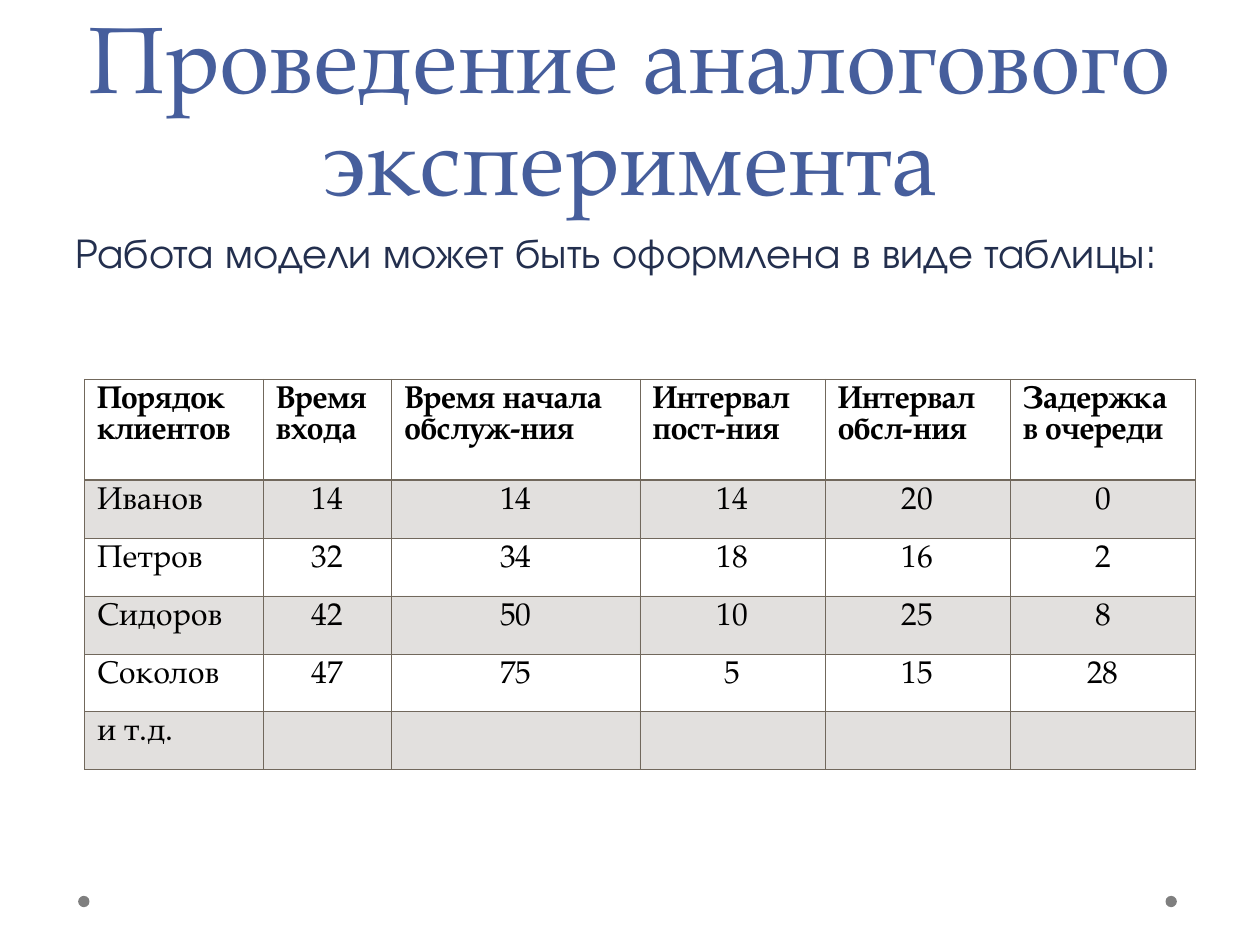
import pptx
import pptx.util
import pptx.dml.color
import pptx.enum.shapes
import pptx.enum.text
import pptx.oxml.ns
from lxml import etree

Inches, Pt = pptx.util.Inches, pptx.util.Pt
ALIGN = pptx.enum.text.PP_ALIGN
ANCHOR = pptx.enum.text.MSO_ANCHOR
qn = pptx.oxml.ns.qn

# Content
TITLE = "Проведение аналогового эксперимента"
INTRO = "Работа модели может быть оформлена в виде таблицы:"
HEADER = ["Порядок клиентов", "Время входа", "Время начала обслуж-ния",
          "Интервал пост-ния", "Интервал обсл-ния", "Задержка в очереди"]
CLIENTS = [
    ["Иванов", "14", "14", "14", "20", "0"],
    ["Петров", "32", "34", "18", "16", "2"],
    ["Сидоров", "42", "50", "10", "25", "8"],
    ["Соколов", "47", "75", "5", "15", "28"],
    ["и т.д.", "", "", "", "", ""],
]

# Style
COLORS = {"title": "465E9C", "intro": "232F4E", "table": "000000",
          "band": "71685C", "border": "71685C", "dot": "7F7F7F"}
SERIF, SANS = "TeX Gyre Pagella", "TeX Gyre Adventor"
COLUMN_WIDTHS = [1.42, 1.02, 1.97, 1.47, 1.47, 1.47]
HEADER_HEIGHT, ROW_HEIGHT = 0.8, 0.46
THIN, THICK = 0.45, 0.96
BAND_ALPHA = 20
DOT_SIZE = 0.09


def rgb(name):
    return pptx.dml.color.RGBColor.from_string(COLORS[name])


def write(frame, text, *, size, font, color, bold=False, align=ALIGN.LEFT,
          line=None, anchor=ANCHOR.TOP):
    frame.word_wrap = True
    frame.vertical_anchor = anchor
    para = frame.paragraphs[0]
    para.alignment = align
    if line:
        para.line_spacing = Pt(line)
    para.font.size = Pt(size)
    if text:
        span = para.add_run()
        span.text = text
        span.font.name, span.font.size, span.font.bold = font, Pt(size), bold
        span.font.color.rgb = rgb(color)


def add_borders(cell, **widths):
    props = cell._tc.get_or_add_tcPr()
    for index, side in enumerate(("L", "R", "T", "B")):
        edge = etree.Element(qn(f"a:ln{side}"), w=str(Pt(widths.get(side, THIN))))
        fill = etree.SubElement(edge, qn("a:solidFill"))
        etree.SubElement(fill, qn("a:srgbClr"), val=COLORS["border"])
        props.insert(index, edge)


def fill_band(cell):
    cell.fill.solid()
    cell.fill.fore_color.rgb = rgb("band")
    tint = cell._tc.tcPr.find(".//" + qn("a:srgbClr"))
    etree.SubElement(tint, qn("a:alpha"), val=str(BAND_ALPHA * 1000))


deck = pptx.Presentation()
deck.slide_width, deck.slide_height = Inches(10), Inches(7.5)
page = deck.slides.add_slide(deck.slide_layouts[6])

# Footer dots
for left in (9.25, 0.62):
    dot = page.shapes.add_shape(pptx.enum.shapes.MSO_SHAPE.OVAL, Inches(left),
                                Inches(7.11), Inches(DOT_SIZE), Inches(DOT_SIZE))
    dot.shadow.inherit = False
    dot.fill.solid()
    dot.fill.fore_color.rgb = rgb("dot")
    dot.line.fill.background()

# Title and introduction
title = page.shapes.add_textbox(Inches(0.5), Inches(0), Inches(9), Inches(1.75))
write(title.text_frame, TITLE, size=54, font=SERIF, color="title",
      align=ALIGN.CENTER, line=58, anchor=ANCHOR.BOTTOM)
intro = page.shapes.add_textbox(Inches(0.5), Inches(1.75), Inches(9), Inches(4.95))
write(intro.text_frame, INTRO, size=24, font=SANS, color="intro")

# Table of clients
rows = [HEADER] + CLIENTS
heights = [HEADER_HEIGHT] + [ROW_HEIGHT] * len(CLIENTS)
table = page.shapes.add_table(
    len(rows), len(HEADER), Inches(0.67), Inches(3.01),
    Inches(sum(COLUMN_WIDTHS)), Inches(sum(heights))).table
for column, width in zip(table.columns, COLUMN_WIDTHS):
    column.width = Inches(width)
for r, (texts, height) in enumerate(zip(rows, heights)):
    table.rows[r].height = Inches(height)
    for c, text in enumerate(texts):
        cell = table.cell(r, c)
        centred = r > 0 and c > 0
        write(cell.text_frame, text, size=18, font=SERIF, color="table",
              bold=r == 0, align=ALIGN.CENTER if centred else ALIGN.LEFT)
        if r % 2:
            fill_band(cell)
        else:
            cell.fill.background()
        add_borders(cell, T=THICK if r == 1 else THIN, B=THICK if r == 0 else THIN)

deck.save("out.pptx")
